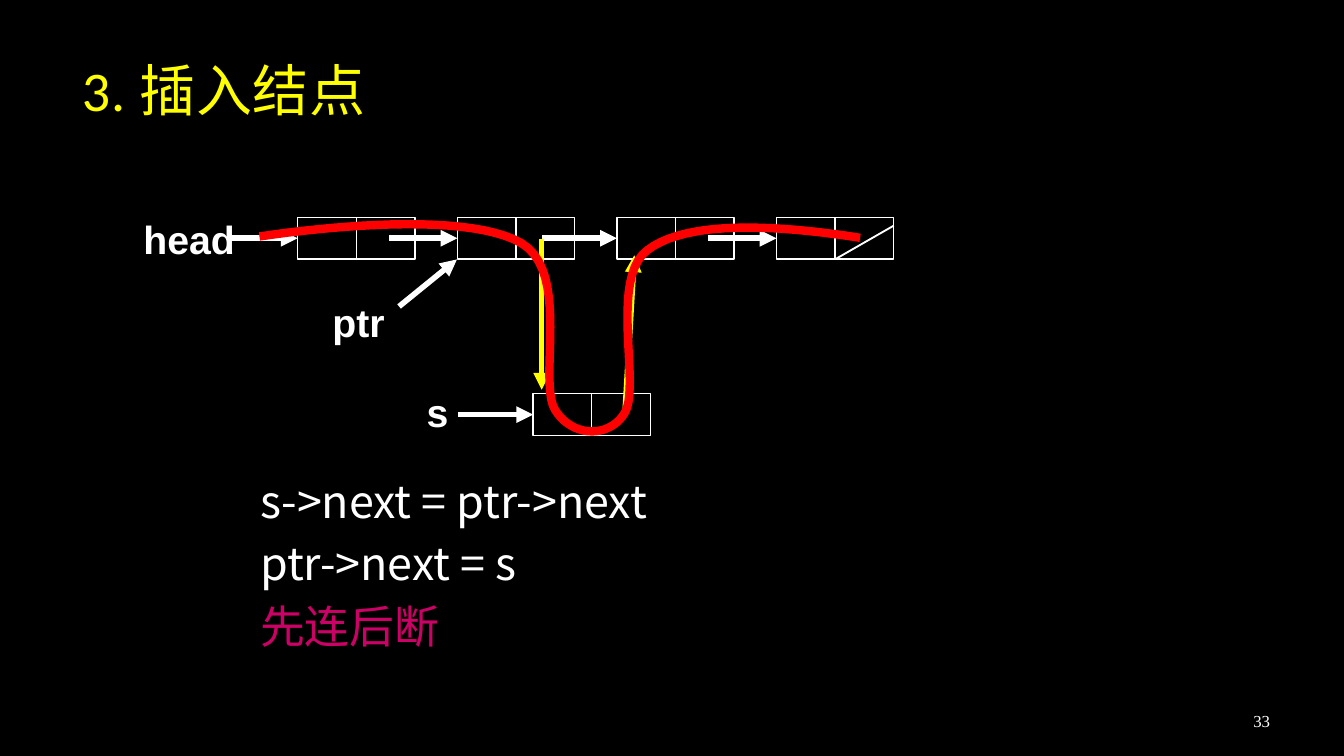
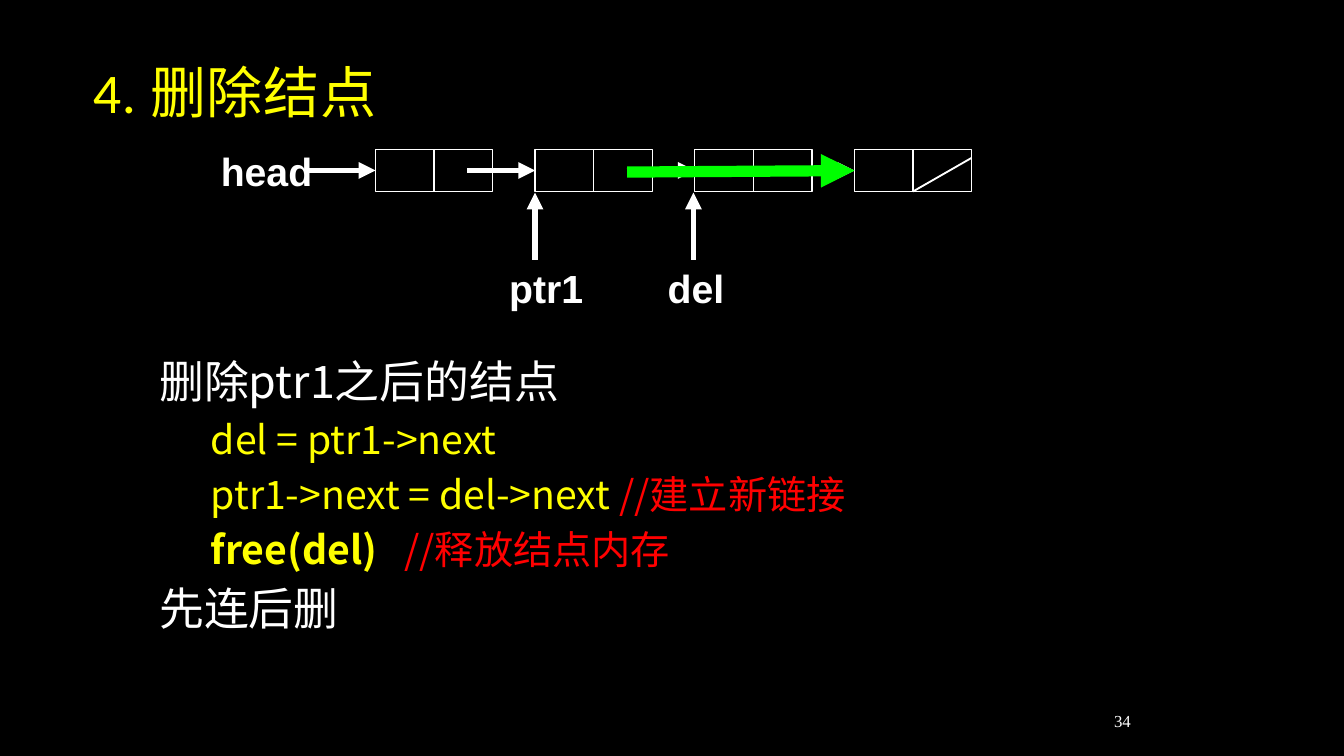
from pptx import Presentation
from pptx.dml.color import RGBColor
from pptx.enum.shapes import MSO_CONNECTOR, MSO_SHAPE
from pptx.enum.text import MSO_ANCHOR, MSO_AUTO_SIZE, PP_ALIGN
from pptx.oxml.ns import qn
from pptx.util import Pt
from lxml.etree import SubElement

COLORS = {
    "black": "000000", "white": "FFFFFF", "yellow": "FFFF00",
    "red": "FF0000", "green": "00FF00", "magenta": "CC0066",
}
RGB = {name: RGBColor.from_string(value) for name, value in COLORS.items()}
CELL_W, CELL_H, NODE_GAP = 31.4, 22.5, 85.5
BODY_FONT = "Noto Sans CJK SC"


def add_line(s, x1, y1, x2, y2, color="white", width=3, head=True, target=None):
    c = s.shapes.add_connector(MSO_CONNECTOR.STRAIGHT, Pt(x1), Pt(y1), Pt(x2), Pt(y2))
    if target is not None:
        c.end_connect(target, 1)
    c.line.color.rgb = RGB[color]
    c.line.width = Pt(width)
    if head:
        SubElement(c.line._get_or_add_ln(), qn("a:tailEnd"), type="triangle")
    SubElement(c._element.spPr, qn("a:effectLst"))


def write(p, text, size, font, color="white", bold=False):
    r = p.add_run()
    r.text = text
    r.font.size = Pt(size)
    r.font.name = font
    r.font.bold = bold
    r.font.color.rgb = RGB[color]
    SubElement(r._r.get_or_add_rPr(), qn("a:ea"), typeface=font)
    return r


slides = [
    {
        "title": ("3. 插入结点", 36.7, 26),
        "number": ("33", 516),
        "list": (159.5, 116.4),
        "next_from": [49, 45.4, 49],
        "head_from": 123.8,
        "extra_nodes": [(285.6, 210.9)],
        "labels": [("head", 69.8, 111.6, 64), ("ptr", 171, 156.2, 43), ("s", 221.4, 204.5, 26)],
        "arrows": [
            (213.8, 164.2, 244.8, 139, "white", 3),
            (334.8, 221.8, 339.8, 136.8, "yellow", 3),
            (290.2, 128, 290.2, 208.8, "yellow", 3),
        ],
        "body": (134.4, 250.5, 279.4, 121.7),
        "lines": [
            (0, [("s->next = ptr->next", "white", False)]),
            (0, [("ptr->next = s", "white", False)]),
            (0, [("先连后断", "magenta", False)]),
        ],
    },
    {
        "title": ("4. 删除结点", 42.5, 27),
        "number": ("34", 441.4),
        "list": (201.2, 80.1),
        "next_from": [49, 49, 49],
        "head_from": 164.9,
        "extra_nodes": [],
        "labels": [("head", 111.2, 75.6, 64), ("ptr1", 265.7, 138.2, 55), ("del", 350.6, 138.2, 45)],
        "arrows": [
            (286.6, 139.2, 286.6, 103.2, "white", 3),
            (371.5, 139.2, 371.5, 103.2, "white", 3),
            (336, 92.2, 457.8, 91.4, "green", 6),
        ],
        "body": (80.4, 186.4, 426.2, 177.8),
        "lines": [
            (0, [("删除ptr1之后的结点", "white", False)]),
            (1, [("del = ptr1->next", "yellow", False)]),
            (1, [("ptr1->next = del->next ", "yellow", False), ("//建立新链接", "red", False)]),
            (1, [("free(del)   ", "yellow", True), ("//释放结点内存", "red", False)]),
            (0, [("先连后删", "white", False)]),
        ],
    },
]

prs = Presentation()
prs.slide_width, prs.slide_height = Pt(720), Pt(405)
fill = prs.slide_master.background.fill
fill.solid()
fill.fore_color.rgb = RGB["black"]

for data in slides:
    s = prs.slides.add_slide(prs.slide_layouts[5])

    text, x, y = data["title"]
    title = s.shapes.title
    title.left, title.top, title.width, title.height = Pt(x), Pt(y), Pt(486), Pt(44)
    tf = title.text_frame
    tf.auto_size = MSO_AUTO_SIZE.NONE
    tf.vertical_anchor = MSO_ANCHOR.MIDDLE
    p = tf.paragraphs[0]
    p.alignment = PP_ALIGN.LEFT
    r = write(p, text, 30, "Calibri", "yellow")
    r._r.get_or_add_rPr().set("spc", "40")

    tf = s.shapes.add_textbox(*map(Pt, data["body"])).text_frame
    tf.word_wrap = True
    tf.margin_left = tf.margin_right = Pt(5)
    tf.margin_top = tf.margin_bottom = Pt(3)
    for i, (level, runs) in enumerate(data["lines"]):
        size, margin, indent = [(24, 20, -20), (21, 44, -16.5)][level]
        p = tf.paragraphs[0] if i == 0 else tf.add_paragraph()
        p.level = level
        p.alignment = PP_ALIGN.JUSTIFY
        if i:
            p.space_before = Pt(size * 0.2)
        pPr = p._p.get_or_add_pPr()
        pPr.set("marL", str(Pt(margin)))
        pPr.set("indent", str(Pt(indent)))
        for text, color, bold in runs:
            write(p, text, size, BODY_FONT, color, bold)

    left, top = data["list"]
    starts = [(left + NODE_GAP * i, top) for i in range(4)]
    nodes = []
    for x, y in starts + data["extra_nodes"]:
        for col in range(2):
            cell = s.shapes.add_shape(
                MSO_SHAPE.RECTANGLE, Pt(x + col * CELL_W), Pt(y), Pt(CELL_W), Pt(CELL_H))
            cell.shadow.inherit = False
            cell.fill.background()
            cell.line.color.rgb = RGB["white"]
            cell.line.width = Pt(0.75)
            if col == 0:
                nodes.append(cell)

    mid = top + CELL_H / 2
    add_line(s, data["head_from"], mid, left, mid, target=nodes[0])
    for i, offset in enumerate(data["next_from"]):
        add_line(s, starts[i][0] + offset, mid, starts[i + 1][0], mid, target=nodes[i + 1])
    for x, y in data["extra_nodes"]:
        add_line(s, x - 40.3, y + CELL_H / 2, x, y + CELL_H / 2, target=nodes[-1])
    x = starts[-1][0] + CELL_W
    add_line(s, x, top + CELL_H, x + CELL_W, top + 4.5, width=1, head=False)
    for arrow in data["arrows"]:
        add_line(s, *arrow)

    for text, x, y, width in data["labels"]:
        tf = s.shapes.add_textbox(Pt(x), Pt(y), Pt(width), Pt(32.4)).text_frame
        tf.word_wrap = False
        tf.auto_size = MSO_AUTO_SIZE.SHAPE_TO_FIT_TEXT
        write(tf.paragraphs[0], text, 21, "Arial", bold=True)

    text, x = data["number"]
    tf = s.shapes.add_textbox(Pt(x), Pt(375.2), Pt(168), Pt(21.6)).text_frame
    tf.word_wrap = True
    tf.vertical_anchor = MSO_ANCHOR.MIDDLE
    tf.margin_left = tf.margin_right = tf.margin_top = tf.margin_bottom = Pt(3.6)
    tf.paragraphs[0].alignment = PP_ALIGN.RIGHT
    write(tf.paragraphs[0], text, 9, "Times New Roman")

curve = [
    (139, 126.7), (188, 119.5), (253.5, 115.2), (279.4, 130.3),
    (306, 146.2), (288, 204.5), (297.4, 219.6),
    (306.7, 234.7), (326.9, 234.7), (334.8, 221),
    (343.4, 206.6), (326.2, 149), (347, 133.9),
    (367.9, 118.1), (414.7, 120.2), (460.8, 127.4),
]
STEPS = 20
points = []
for i in range(0, len(curve) - 1, 3):
    a, b, c, d = curve[i:i + 4]
    for step in range(1, STEPS + 1):
        t = step / STEPS
        u = 1 - t
        points.append(tuple(
            Pt(u**3 * a[k] + 3 * u * u * t * b[k] + 3 * u * t * t * c[k] + t**3 * d[k])
            for k in range(2)))
builder = prs.slides[0].shapes.build_freeform(Pt(curve[0][0]), Pt(curve[0][1]))
builder.add_line_segments(points, close=False)
new_link = builder.convert_to_shape()
new_link.shadow.inherit = False
new_link.fill.background()
new_link.line.color.rgb = RGB["red"]
new_link.line.width = Pt(4.5)

prs.save("out.pptx")
